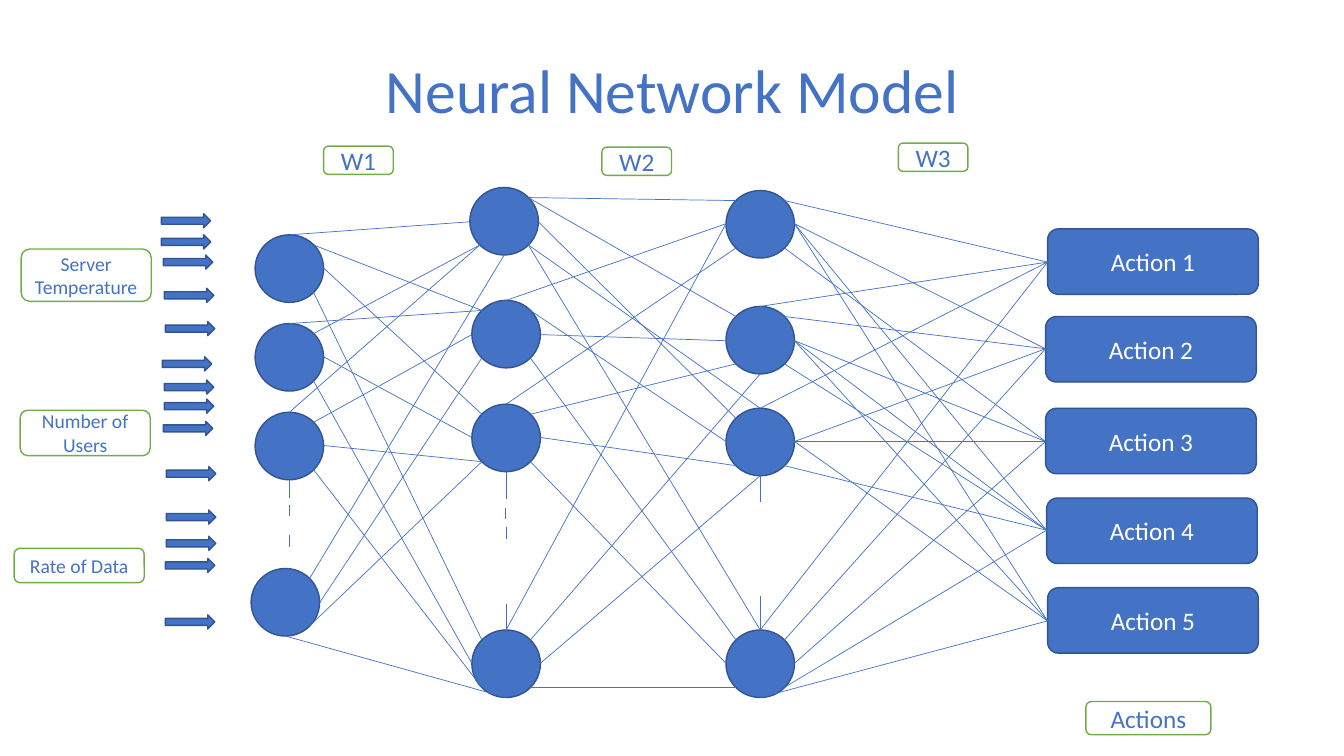
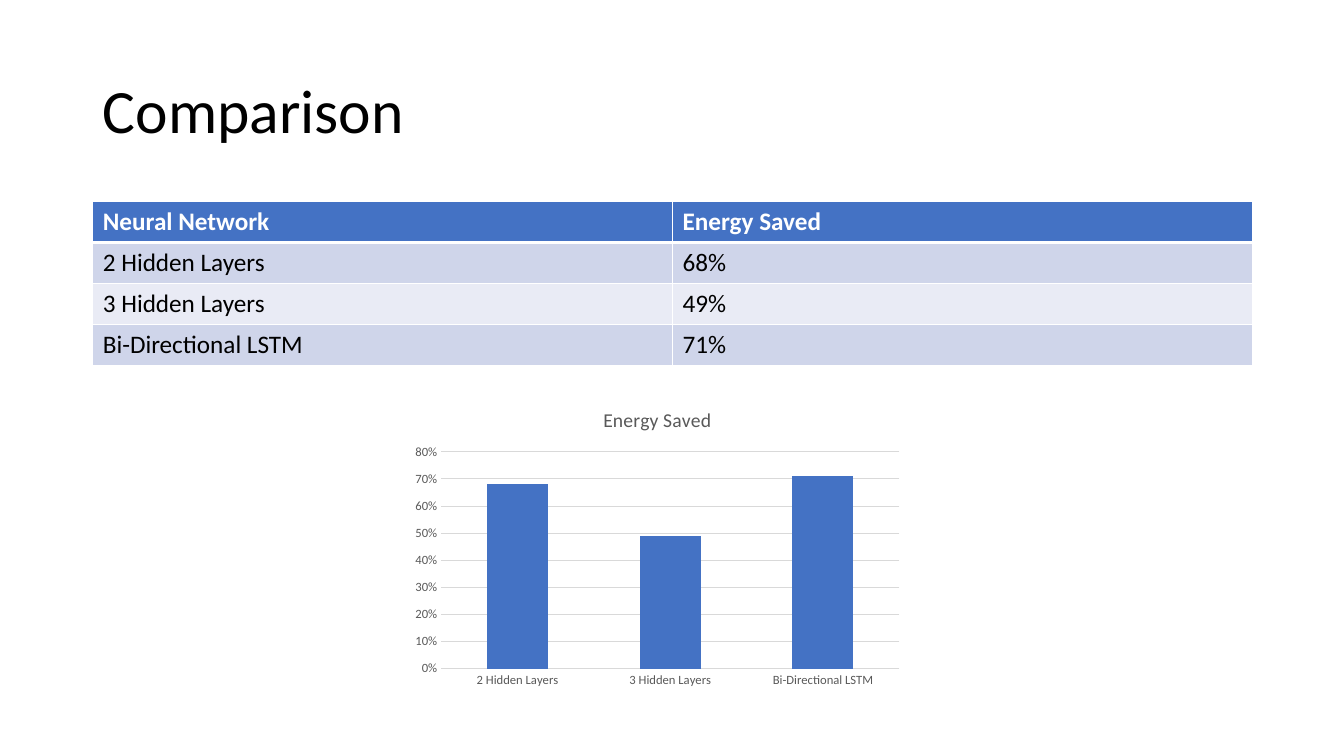
from dataclasses import dataclass
from itertools import chain

from lxml.etree import SubElement
from pptx import Presentation
from pptx.chart.data import CategoryChartData
from pptx.dml.color import RGBColor
from pptx.enum.chart import XL_CHART_TYPE as ChartType, XL_TICK_MARK as TickMark
from pptx.enum.shapes import MSO_CONNECTOR as Connector, MSO_SHAPE as Preset
from pptx.enum.text import MSO_ANCHOR as Anchor, MSO_AUTO_SIZE as AutoSize, PP_ALIGN as Align
from pptx.oxml.ns import qn
from pptx.slide import Slide
from pptx.text.text import TextFrame
from pptx.util import Emu, Pt

PX_PER_INCH = 100
FONT = "Calibri"
BLUE, NAVY, GREEN = "4472C4", "325491", "70AD47"
WHITE, BLACK, GREY, GRID = "FFFFFF", "000000", "595959", "D9D9D9"
BANDS = ("CFD5EA", "E9EBF5")


def px(length: int) -> Emu:
    return Emu(round(length * 914400 / PX_PER_INCH))


def rgb(color: str) -> RGBColor:
    return RGBColor.from_string(color)


@dataclass(frozen=True)
class Box:
    x: int
    y: int
    w: int
    h: int

    def emu(self) -> tuple[Emu, ...]:
        return px(self.x), px(self.y), px(self.w), px(self.h)

    def site(self, side: str) -> tuple[int, int]:
        reach = 0.35 if len(side) == 2 else 0.5
        across = ("r" in side) - ("l" in side)
        down = ("b" in side) - ("t" in side)
        return (round(self.x + self.w * (0.5 + reach * across)),
                round(self.y + self.h * (0.5 + reach * down)))


@dataclass(frozen=True)
class Look:
    fill: str
    line: str
    ink: str


SOLID = Look(BLUE, NAVY, WHITE)
OUTLINE = Look(WHITE, GREEN, BLUE)


@dataclass(frozen=True)
class Label:
    text: str
    box: Box
    size: int = 18


def write(frame: TextFrame, text: str, *, size: int, color: str, bold: bool = False,
          align: Align = Align.LEFT, spacing: float = 1.0) -> None:
    frame.text = text
    for paragraph in frame.paragraphs:
        paragraph.alignment = align
        paragraph.line_spacing = spacing
        font = paragraph.font
        for target in (font, *(run.font for run in paragraph.runs)):
            target.name, target.size, target.bold = FONT, Pt(size), bold
            target.color.rgb = rgb(color)


def add_title(slide: Slide, text: str, *, top: int, color: str, align: Align) -> None:
    title = slide.shapes.title
    title.left, title.top, title.width, title.height = Box(92, top, 1150, 145).emu()
    frame = title.text_frame
    frame.auto_size = AutoSize.NONE
    frame.word_wrap = True
    frame.vertical_anchor = Anchor.MIDDLE
    write(frame, text, size=44, color=color, align=align, spacing=0.9)


def add_figure(slide: Slide, preset: Preset, box: Box, look: Look,
               text: str = "", size: int = 18) -> None:
    figure = slide.shapes.add_shape(preset, *box.emu())
    figure.shadow.inherit = False
    figure.fill.solid()
    figure.fill.fore_color.rgb = rgb(look.fill)
    figure.line.color.rgb = rgb(look.line)
    figure.line.width = Pt(1)
    if text:
        figure.text_frame.word_wrap = True
        figure.text_frame.vertical_anchor = Anchor.MIDDLE
        write(figure.text_frame, text, size=size, color=look.ink, align=Align.CENTER)


def add_line(slide: Slide, start: tuple[int, int], end: tuple[int, int]) -> None:
    line = slide.shapes.add_connector(Connector.STRAIGHT, *map(px, start + end))
    line.line.color.rgb = rgb(BLUE)
    line.line.width = Pt(0.5)
    SubElement(line._element.spPr, qn("a:effectLst"))


def column(layer: str, spots: list[tuple[int, int]], w: int, h: int) -> dict[str, Box]:
    return {f"{layer}{n}": Box(x, y, w, h) for n, (x, y) in enumerate(spots, 1)}


NEURONS = {
    **column("I", [(253, 233), (253, 321), (253, 409), (249, 564)], 68, 67),
    **column("H", [(466, 186), (468, 298), (468, 401), (468, 625)], 68, 67),
    **column("G", [(720, 189), (720, 304), (720, 405), (720, 625)], 68, 67),
}
ACTIONS = column("A", [(1039, 227), (1037, 314), (1037, 405), (1038, 494), (1039, 583)], 209, 65)

HIDDEN_LINKS = {
    "I1": "t-H1.l tr-H2.tl r-H3.tl br-H4.tl",
    "I2": "t-H2.tl tr-H1.bl r-H3.l br-H4.l",
    "I3": "t-H1.bl tr-H2.l r-H3.bl br-H4.bl",
    "I4": "tr-H1.b r-H2.bl br-H3.bl b-H4.b",
    "H1": "tr-G1.tl tr-G2.tl r-G3.tl br-G3.t br-G4.t",
    "H2": "t-G1.l tr-G3.l r-G2.l br-G4.tl",
    "H3": "t-G1.bl tr-G2.bl r-G3.bl br-G4.l",
    "H4": "t-G1.l tr-G2.b r-G3.b br-G4.bl",
}
ACTION_LINKS = {
    "A1": "G1.tr G2.t G3.t G4.t",
    "A2": "G1.r G2.tr G3.r G4.tr",
    "A3": "G1.br G2.r G3.r G4.r",
    "A4": "G1.r G2.br G2.r G3.br G4.br",
    "A5": "G1.r G2.r G3.r G4.b",
}
DASHES = [
    (287, 476, 494), (287, 501, 512), (287, 531, 543),
    (502, 468, 495), (501, 504, 515), (502, 523, 535), (502, 599, 625),
    (754, 472, 498), (754, 591, 625),
]
INPUT_ARROWS = [
    (160, 212), (160, 233), (162, 253), (163, 286), (164, 319), (161, 354), (163, 377),
    (163, 396), (162, 418), (165, 463), (165, 506), (165, 532), (164, 554), (164, 610),
]
LABELS = [
    Label("W1", Box(321, 145, 69, 28)),
    Label("W2", Box(597, 146, 69, 28)),
    Label("W3", Box(891, 142, 69, 28)),
    Label("Actions", Box(1077, 696, 124, 33)),
    Label("Server\nTemperature", Box(21, 247, 129, 52), 14),
    Label("Number of Users", Box(20, 407, 129, 45), 14),
    Label("Rate of Data", Box(14, 544, 129, 34), 14),
]
RESULTS = {"2 Hidden Layers": 0.68, "3 Hidden Layers": 0.49, "Bi-Directional LSTM": 0.71}
MEASURE = "Energy Saved"


def site_of(address: str) -> tuple[int, int]:
    node, side = address.split(".")
    return NEURONS[node].site(side)


def build_network(slide: Slide) -> None:
    add_title(slide, "Neural Network Model", top=20, color=BLUE, align=Align.CENTER)
    for neuron in NEURONS.values():
        add_figure(slide, Preset.OVAL, neuron, SOLID)
    for n, action in enumerate(ACTIONS.values(), 1):
        add_figure(slide, Preset.ROUNDED_RECTANGLE, action, SOLID, f"Action {n}")
    for source, links in HIDDEN_LINKS.items():
        for link in links.split():
            side, target = link.split("-")
            add_line(slide, NEURONS[source].site(side), site_of(target))
    for action, sources in ACTION_LINKS.items():
        for source in sources.split():
            add_line(slide, site_of(source), ACTIONS[action].site("l"))
    for x, top, bottom in DASHES:
        add_line(slide, (x, top), (x, bottom))
    for x, y in INPUT_ARROWS:
        add_figure(slide, Preset.RIGHT_ARROW, Box(x, y, 49, 14), SOLID)
    for label in LABELS:
        add_figure(slide, Preset.ROUNDED_RECTANGLE, label.box, OUTLINE, label.text, label.size)


def add_borders(cell, row: int) -> None:
    properties = cell._tc.get_or_add_tcPr()
    heavy = {0: "B", 1: "T"}.get(row)
    for edge in "LRTB":
        width = Pt(3 if edge == heavy else 1)
        border = SubElement(properties, qn(f"a:ln{edge}"), w=str(width))
        SubElement(SubElement(border, qn("a:solidFill")), qn("a:srgbClr"), val=WHITE)


def add_results_table(slide: Slide) -> None:
    rows = [("Neural Network", MEASURE),
            *((network, f"{saved:.0%}") for network, saved in RESULTS.items())]
    table = slide.shapes.add_table(len(rows), 2, *Box(92, 200, 1150, 162).emu()).table
    for row, texts in enumerate(rows):
        header = row == 0
        for col, text in enumerate(texts):
            cell = table.cell(row, col)
            add_borders(cell, row)
            cell.fill.solid()
            cell.fill.fore_color.rgb = rgb(BLUE if header else BANDS[(row - 1) % 2])
            write(cell.text_frame, text, size=18, color=WHITE if header else BLACK, bold=header)


def add_results_chart(slide: Slide) -> None:
    data = CategoryChartData(number_format="0%")
    data.categories = list(RESULTS)
    data.add_series(MEASURE, list(RESULTS.values()))
    chart = slide.shapes.add_chart(
        ChartType.COLUMN_CLUSTERED, *Box(402, 388, 500, 300).emu(), data).chart
    chart.font.name, chart.font.size = FONT, Pt(10)
    chart.has_legend = False
    chart.has_title = True
    write(chart.chart_title.text_frame, MEASURE, size=14, color=GREY, align=Align.CENTER)
    chart.chart_title.include_in_layout = False

    plot = chart.plots[0]
    plot.gap_width = 150
    plot.vary_by_categories = False
    bars = plot.series[0].format.fill
    bars.solid()
    bars.fore_color.rgb = rgb(BLUE)

    for axis in (chart.category_axis, chart.value_axis):
        axis.major_tick_mark = axis.minor_tick_mark = TickMark.NONE
        axis.format.line.fill.background()
        font = axis.tick_labels.font
        font.name, font.size = FONT, Pt(9)
        font.color.rgb = rgb(GREY)
    scale = chart.value_axis
    scale.minimum_scale, scale.maximum_scale, scale.major_unit = 0, 0.8, 0.1
    scale.tick_labels.number_format = "0%"
    scale.tick_labels.number_format_is_linked = False
    scale.major_gridlines.format.line.color.rgb = rgb(GRID)
    scale.major_gridlines.format.line.width = Pt(0.75)


def build_comparison(slide: Slide) -> None:
    add_title(slide, "Comparison", top=40, color=BLACK, align=Align.LEFT)
    add_results_table(slide)
    add_results_chart(slide)


def main() -> None:
    deck = Presentation()
    deck.slide_width, deck.slide_height = px(1333), px(750)
    title_only = deck.slide_layouts[5]
    for build in (build_network, build_comparison):
        build(deck.slides.add_slide(title_only))
    deck.save("out.pptx")


if __name__ == "__main__":
    main()
